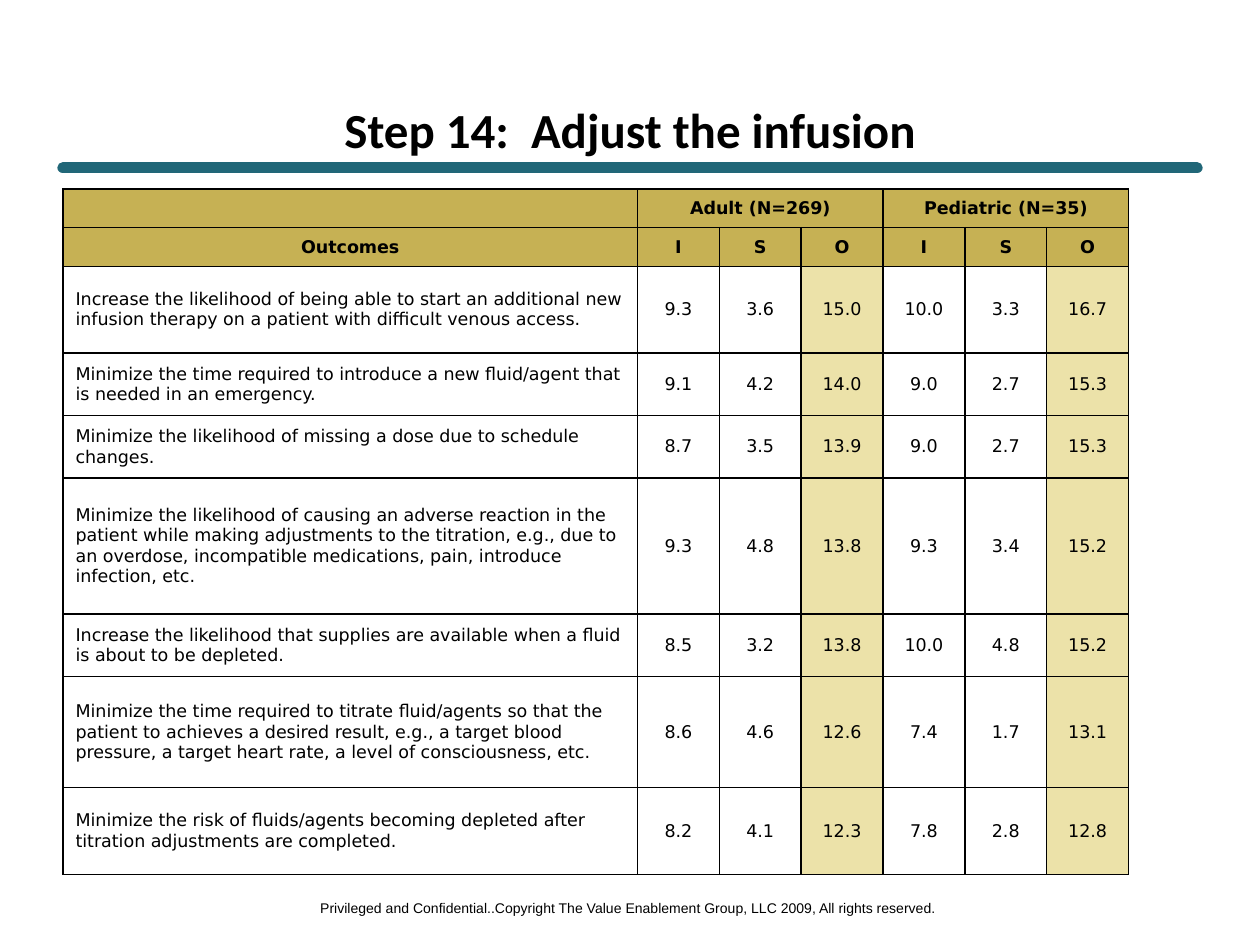
"""Build the outcomes table slide for step 14, adjusting the infusion."""
from lxml import etree
from pptx import Presentation
from pptx import util as u
from pptx.dml.color import RGBColor
from pptx.enum import shapes, text
from pptx.oxml.ns import qn

TITLE = "Step 14:  Adjust the infusion"
FOOTER = ("Privileged and Confidential..Copyright The Value Enablement Group, "
          "LLC 2009, All rights reserved.")
GROUPS = ["Adult (N=269)", "Pediatric (N=35)"]
MEASURES = ["I", "S", "O"]
OUTCOMES = [
    (1.75, "Increase the likelihood of being able to start an additional new "
     "infusion therapy on a patient with difficult venous access.",
     ["9.3", "3.6", "15.0", "10.0", "3.3", "16.7"]),
    (1.26, "Minimize the time required to introduce a new fluid/agent that "
     "is needed in an emergency.",
     ["9.1", "4.2", "14.0", "9.0", "2.7", "15.3"]),
    (1.26, "Minimize the likelihood of missing a dose due to schedule changes.",
     ["8.7", "3.5", "13.9", "9.0", "2.7", "15.3"]),
    (2.74, "Minimize the likelihood of causing an adverse reaction in the "
     "patient while making adjustments to the titration, e.g., due to an "
     "overdose, incompatible medications, pain, introduce infection, etc.",
     ["9.3", "4.8", "13.8", "9.3", "3.4", "15.2"]),
    (1.26, "Increase the likelihood that supplies are available when a fluid "
     "is about to be depleted.",
     ["8.5", "3.2", "13.8", "10.0", "4.8", "15.2"]),
    (2.24, "Minimize the time required to titrate fluid/agents so that the "
     "patient to achieves a desired result, e.g., a target blood pressure, "
     "a target heart rate, a level of consciousness, etc.",
     ["8.6", "4.6", "12.6", "7.4", "1.7", "13.1"]),
    (1.75, "Minimize the risk of fluids/agents becoming depleted after "
     "titration adjustments are completed.",
     ["8.2", "4.1", "12.3", "7.8", "2.8", "12.8"]),
]
HEAD_ROWS, HEAD_HEIGHT = 2, 0.78
OUTCOME_WIDTH, VALUE_WIDTH = 11.58, 1.65
LEFT, TABLE_TOP = 1.27, 3.81
BLACK, TEAL, GOLD, CREAM = "000000", "216778", "C6B154", "ECE2A9"


def rgb(value):
    return RGBColor.from_string(value)


def style(p, font, size, bold=False, align=text.PP_ALIGN.CENTER):
    p.alignment = align
    for r in p.runs:
        r.font.name, r.font.size, r.font.bold = font, u.Pt(size), bold
        r.font.color.rgb = rgb(BLACK)


def add_label(s, box, content, font, size, bold=False, wrap=True):
    tf = s.shapes.add_textbox(*map(u.Cm, box)).text_frame
    tf.word_wrap = wrap
    tf.vertical_anchor = text.MSO_ANCHOR.MIDDLE
    tf.text = content
    style(tf.paragraphs[0], font, size, bold)


def add_rule(s):
    rule = s.shapes.add_connector(shapes.MSO_CONNECTOR.STRAIGHT, u.Cm(LEFT),
                                  u.Cm(3.38), u.Cm(25.4 - LEFT), u.Cm(3.38))
    rule.line.color.rgb = rgb(TEAL)
    rule.line.width = u.Pt(6.5)
    rule.line._get_or_add_ln().set("cap", "rnd")
    etree.SubElement(rule._element.spPr, qn("a:effectLst"))


def add_borders(cell):
    tc_pr = cell._tc.get_or_add_tcPr()
    for side in ("lnL", "lnR", "lnT", "lnB"):
        ln = etree.SubElement(tc_pr, qn(f"a:{side}"), w=str(u.Pt(1)))
        fill = etree.SubElement(ln, qn("a:solidFill"))
        etree.SubElement(fill, qn("a:srgbClr"), val=BLACK)


def fill_cell(cell, content, row, col):
    head = row < HEAD_ROWS
    add_borders(cell)
    cell.vertical_anchor = text.MSO_ANCHOR.MIDDLE
    color = GOLD if head else CREAM if col and col % len(MEASURES) == 0 else None
    if color:
        cell.fill.solid()
        cell.fill.fore_color.rgb = rgb(color)
    else:
        cell.fill.background()
    cell.text_frame.text = content
    p = cell.text_frame.paragraphs[0]
    align = text.PP_ALIGN.CENTER if head or col else text.PP_ALIGN.LEFT
    style(p, "DejaVu Sans", 10, head, align)
    if not content:
        etree.SubElement(p._p, qn("a:endParaRPr"), sz="1000")


def add_outcomes(s):
    span = len(MEASURES)
    group_row = [""]
    for group in GROUPS:
        group_row += [group] + [""] * (span - 1)
    rows = [group_row, ["Outcomes"] + MEASURES * len(GROUPS)]
    rows += [[outcome] + values for _, outcome, values in OUTCOMES]
    heights = [HEAD_HEIGHT] * HEAD_ROWS + [height for height, _, _ in OUTCOMES]
    widths = [OUTCOME_WIDTH] + [VALUE_WIDTH] * (span * len(GROUPS))
    frame = s.shapes.add_table(len(rows), len(widths), u.Cm(LEFT), u.Cm(TABLE_TOP),
                               u.Cm(sum(widths)), u.Cm(sum(heights)))
    table = frame.table
    table.first_row = table.horz_banding = False
    for column, width in zip(table.columns, widths):
        column.width = u.Cm(width)
    for i, (height, row) in enumerate(zip(heights, rows)):
        table.rows[i].height = u.Cm(height)
        for j, content in enumerate(row):
            fill_cell(table.cell(i, j), content, i, j)
    for first in range(1, len(widths), span):
        table.cell(0, first).merge(table.cell(0, first + span - 1))


def main():
    prs = Presentation()
    prs.slide_width, prs.slide_height = u.Cm(25.4), u.Cm(19.05)
    s = prs.slides.add_slide(prs.slide_layouts[6])
    add_rule(s)
    add_label(s, (6.12, 18.0, 13.1, 0.6), FOOTER, "Arial", 8, wrap=False)
    add_label(s, (LEFT, 2.11, 22.86, 0.97), TITLE, "Calibri", 28, bold=True)
    add_outcomes(s)
    prs.save("out.pptx")


if __name__ == "__main__":
    main()
